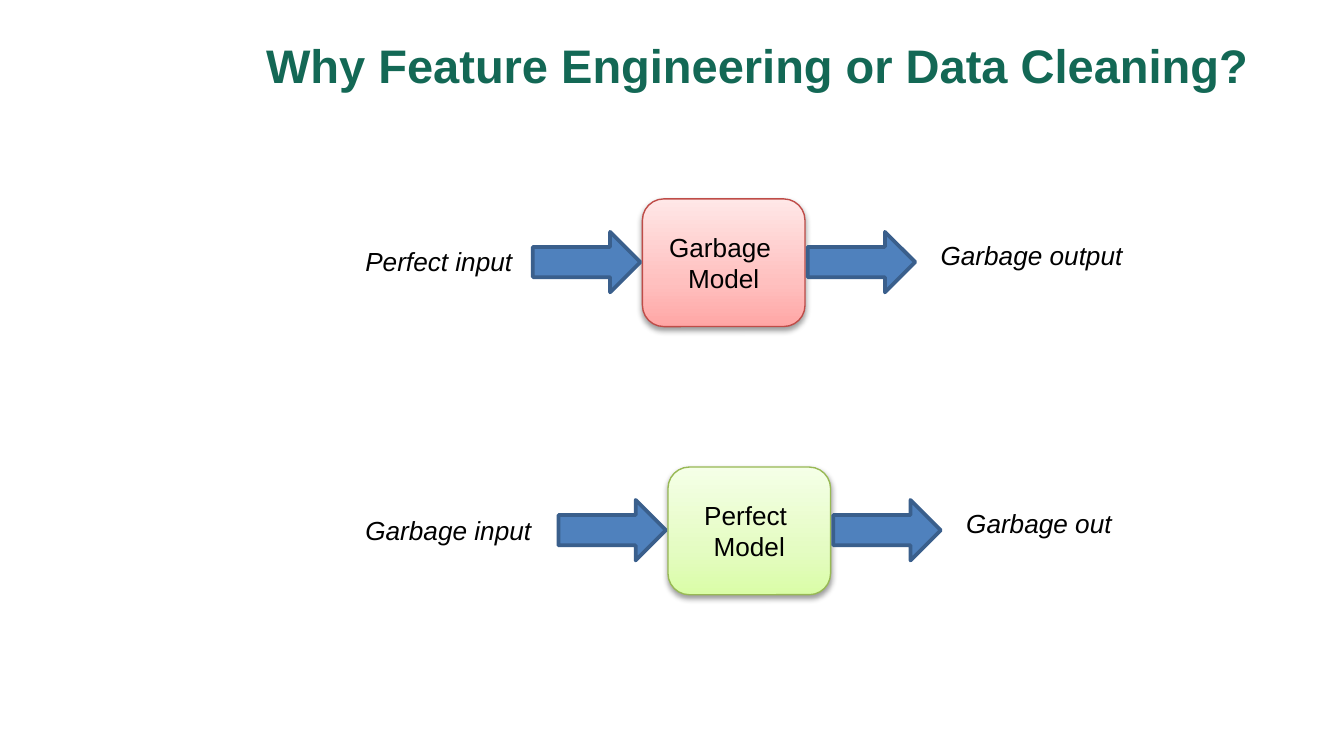
from dataclasses import dataclass

from lxml import etree
from pptx import Presentation
from pptx import util as u
from pptx.dml.color import RGBColor
from pptx.enum import shapes, text
from pptx.oxml import ns, parse_xml

PX = 4572  # EMU per px, 200 px to the inch


@dataclass(frozen=True)
class Theme:
    font: str = "Arial"
    title_size: float = 25.2
    body_size: float = 14
    title: str = "136855"
    ink: str = "000000"
    arrow: str = "4F81BD"
    arrow_line: str = "3A5F8C"
    # Gradient stops from bottom to top, then the outline
    red: tuple = ("FFA6A5", "FFC0BF", "FFE7E7", "BF4C48")
    green: tuple = ("DAFDA7", "E4FCC2", "F5FFE7", "98B955")


class SlideBuilder:
    def __init__(self, slide, theme):
        self.slide = slide
        self.theme = theme

    def format_text(self, text_frame, size, color, bold=False, italic=False):
        for paragraph in text_frame.paragraphs:
            for run in paragraph.runs:
                run.font.name = self.theme.font
                run.font.size = u.Pt(size)
                run.font.bold = bold
                run.font.italic = italic
                run.font.color.rgb = RGBColor.from_string(color)

    def title(self, words, left, top, width, height):
        shape = self.slide.shapes.title
        shape.left, shape.top = left * PX, top * PX
        shape.width, shape.height = width * PX, height * PX
        frame = shape.text_frame
        frame.text = words
        frame.word_wrap = True
        frame.auto_size = text.MSO_AUTO_SIZE.NONE
        frame.vertical_anchor = text.MSO_ANCHOR.TOP
        frame.margin_top = 8 * PX
        frame.paragraphs[0].alignment = text.PP_ALIGN.LEFT
        self.format_text(frame, self.theme.title_size, self.theme.title, bold=True)

    def shape(self, kind, left, top, width, height, line, line_width):
        shape = self.slide.shapes.add_shape(
            kind, left * PX, top * PX, width * PX, height * PX)
        shape.shadow.inherit = False
        shape.line.color.rgb = RGBColor.from_string(line)
        shape.line.width = u.Pt(line_width)
        return shape

    def arrow(self, left, top):
        shape = self.shape(shapes.MSO_SHAPE.RIGHT_ARROW, left, top, 160, 90,
                           self.theme.arrow_line, 2)
        shape.fill.solid()
        shape.fill.fore_color.rgb = RGBColor.from_string(self.theme.arrow)

    def model(self, words, left, top, palette):
        *colors, outline = palette
        shape = self.shape(shapes.MSO_SHAPE.ROUNDED_RECTANGLE, left, top, 242, 190,
                           outline, 0.75)
        # Three-stop gradient
        stops = "".join(
            f'<a:gs pos="{place}"><a:srgbClr val="{color}"/></a:gs>'
            for place, color in zip((0, 35000, 100000), colors))
        properties = shape._element.spPr
        properties.find(ns.qn("a:prstGeom")).addnext(parse_xml(
            f'<a:gradFill {ns.nsdecls("a")} rotWithShape="1"><a:gsLst>{stops}</a:gsLst>'
            '<a:lin ang="16200000" scaled="0"/></a:gradFill>'))
        # Soft shadow below
        shadow = etree.SubElement(
            properties.find(ns.qn("a:effectLst")), ns.qn("a:outerShdw"),
            blurRad="40000", dist="20000", dir="5400000", rotWithShape="0")
        color = etree.SubElement(shadow, ns.qn("a:srgbClr"), val=self.theme.ink)
        etree.SubElement(color, ns.qn("a:alpha"), val="38000")

        frame = shape.text_frame
        frame.text = words
        frame.vertical_anchor = text.MSO_ANCHOR.MIDDLE
        for paragraph in frame.paragraphs:
            paragraph.alignment = text.PP_ALIGN.CENTER
        self.format_text(frame, self.theme.body_size, self.theme.ink)

    def label(self, words, left, top, width):
        box = self.slide.shapes.add_textbox(left * PX, top * PX, width * PX, 68 * PX)
        frame = box.text_frame
        frame.text = words
        frame.word_wrap = False
        frame.auto_size = text.MSO_AUTO_SIZE.SHAPE_TO_FIT_TEXT
        self.format_text(frame, self.theme.body_size, self.theme.ink, italic=True)

    def flow(self, left, top, source, model, result, palette):
        """One row; left and top are those of the model box."""
        self.model(model, left, top, palette)
        for offset in (-163, 246):
            self.arrow(left + offset, top + 49)
        words, width = source
        self.label(words, 524, top + 60, width)
        words, width = result
        self.label(words, left + 424, top + 50, width)


def main():
    presentation = Presentation()
    presentation.slide_width, presentation.slide_height = 2000 * PX, 1125 * PX
    theme = Theme()
    title_only = presentation.slide_layouts[5]
    builder = SlideBuilder(presentation.slides.add_slide(title_only), theme)

    # Heading
    builder.title("Why Feature Engineering or Data Cleaning?", 376, 46, 1524, 188)

    # Good data through a bad model, then bad data through a good one
    builder.flow(956, 296, ("Perfect input", 260), "Garbage \nModel",
                 ("Garbage output", 312), theme.red)
    builder.flow(994, 695, ("Garbage input", 288), "Perfect \nModel",
                 ("Garbage out", 258), theme.green)

    presentation.save("out.pptx")


if __name__ == "__main__":
    main()
